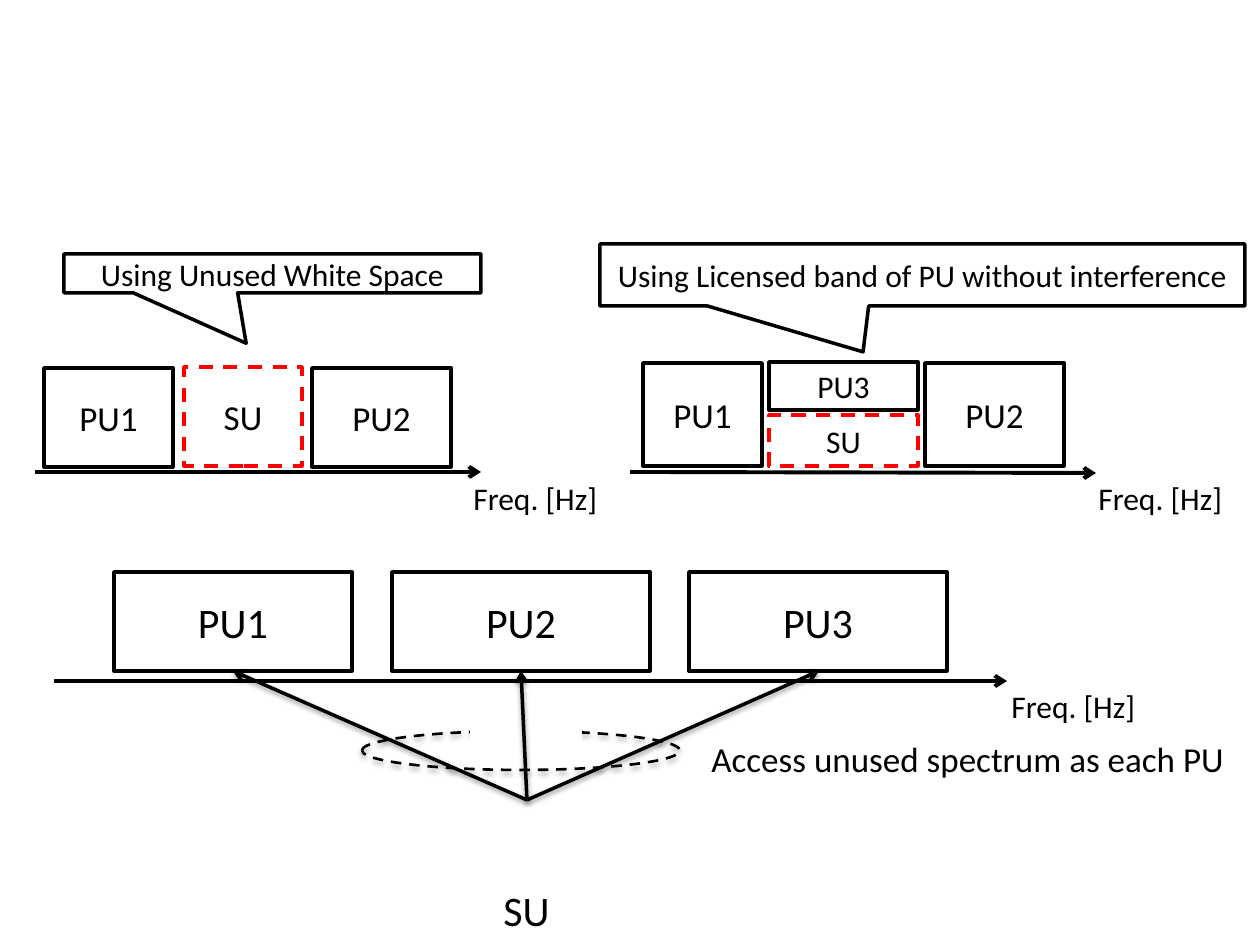
from lxml import etree
from pptx import Presentation
from pptx import util as u
from pptx.dml.color import RGBColor
from pptx.enum import dml, shapes, text
from pptx.oxml.ns import qn

PX = 914400 / 126
COLORS = {"ink": "000000", "secondary": "FF0000", "paper": "FFFFFF"}
FONT = "Calibri"

presentation = Presentation()
presentation.slide_width = u.Emu(round(1260 * PX))
presentation.slide_height = u.Emu(round(945 * PX))
slide = presentation.slides.add_slide(presentation.slide_layouts[6])


def add_outlined(kind, box, label="", size=18, color="ink", width=2, dashed=False):
    """Add an unfilled preset shape with an outline and a centred label."""
    shape = slide.shapes.add_shape(kind, *[u.Emu(round(v * PX)) for v in box])
    shape.shadow.inherit = False
    shape.fill.background()
    shape.line.color.rgb = RGBColor.from_string(COLORS[color])
    shape.line.width = u.Pt(width)
    if dashed:
        shape.line.dash_style = dml.MSO_LINE.DASH
    if label:
        frame = shape.text_frame
        frame.word_wrap = True
        frame.vertical_anchor = text.MSO_ANCHOR.MIDDLE
        paragraph = frame.paragraphs[0]
        paragraph.alignment = text.PP_ALIGN.CENTER
        run = paragraph.add_run()
        run.text = label
        run.font.name = FONT
        run.font.size = u.Pt(size)
        run.font.color.rgb = RGBColor.from_string(COLORS["ink"])
    return shape


def add_shadow(effects, opacity, distance):
    """Put a soft downward shadow into an empty effect list."""
    shadow = etree.SubElement(
        effects, qn("a:outerShdw"), blurRad=str(u.Pt(3.1)), dist=str(u.Pt(distance)),
        dir="5400000", rotWithShape="0")
    shadow_color = etree.SubElement(shadow, qn("a:srgbClr"), val=COLORS["ink"])
    etree.SubElement(shadow_color, qn("a:alpha"), val=str(opacity * 1000))


# Bands: label, box, text size, whether it is the secondary user
bands = [
    ("SU", (769, 415, 149, 51), 18, True),
    ("SU", (184, 367, 118, 99), 20, True),
    ("PU2", (312, 368, 139, 99), 20, False),
    ("PU1", (44, 368, 129, 99), 20, False),
    ("PU3", (769, 362, 149, 48), 18, False),
    ("PU2", (925, 363, 139, 103), 20, False),
    ("PU1", (643, 363, 119, 103), 20, False),
    ("PU2", (392, 572, 258, 99), 24, False),
    ("PU3", (689, 572, 258, 99), 24, False),
    ("PU1", (114, 572, 238, 99), 24, False),
]
for label, box, size, secondary in bands:
    add_outlined(shapes.MSO_SHAPE.RECTANGLE, box, label, size,
                 "secondary" if secondary else "ink", dashed=secondary)

callouts = [
    ("Using Unused White Space", (64, 254, 417, 39), (-0.063, 1.791)),
    ("Using Licensed band of PU without interference", (600, 244, 645, 62), (-0.092, 1.24)),
]
for label, box, pointer in callouts:
    callout = add_outlined(shapes.MSO_SHAPE.RECTANGULAR_CALLOUT, box, label)
    callout.adjustments[0], callout.adjustments[1] = pointer

# Ring around the access arrows, opened at the top by a white patch
ring = add_outlined(shapes.MSO_SHAPE.OVAL, (362, 731, 318, 39), width=1.5, dashed=True)
add_shadow(ring._element.spPr.find(qn("a:effectLst")), 35, 1.8)
patch = add_outlined(shapes.MSO_SHAPE.RECTANGLE, (471, 711, 110, 39),
                     color="paper", width=0.75)
patch.fill.solid()
patch.fill.fore_color.rgb = RGBColor.from_string(COLORS["paper"])

# Arrows: start, end, width, whether it casts a shadow
access_point = (527, 800)
arrows = [
    ((35, 472), (481, 472), 2.25, False),
    ((630, 472), (1096, 473), 2.25, False),
    ((54, 681), (1007, 681), 2.25, False),
    (access_point, (233, 671), 2, True),
    (access_point, (521, 671), 2, True),
    (access_point, (819, 671), 2, True),
]
for start, end, width, shadowed in arrows:
    arrow = slide.shapes.add_connector(
        shapes.MSO_CONNECTOR.STRAIGHT, *[u.Emu(round(v * PX)) for v in start + end])
    arrow.line.color.rgb = RGBColor.from_string(COLORS["ink"])
    arrow.line.width = u.Pt(width)
    properties = arrow._element.spPr
    etree.SubElement(properties.find(qn("a:ln")), qn("a:tailEnd"), type="arrow")
    effects = etree.SubElement(properties, qn("a:effectLst"))
    if shadowed:
        add_shadow(effects, 38, 1.6)

captions = [
    ("Freq. [Hz]", (461, 473, 151, 51), 18),
    ("Freq. [Hz]", (1086, 473, 151, 51), 18),
    ("Freq. [Hz]", (999, 681, 151, 51), 18),
    ("SU", (491, 878, 72, 63), 24),
    ("Access unused spectrum as each PU", (699, 731, 542, 55), 20),
]
for label, box, size in captions:
    caption = slide.shapes.add_textbox(*[u.Emu(round(v * PX)) for v in box])
    caption.text_frame.word_wrap = False
    caption.text_frame.auto_size = text.MSO_AUTO_SIZE.SHAPE_TO_FIT_TEXT
    run = caption.text_frame.paragraphs[0].add_run()
    run.text = label
    run.font.name = FONT
    run.font.size = u.Pt(size)
    run.font.color.rgb = RGBColor.from_string(COLORS["ink"])

presentation.save("out.pptx")
